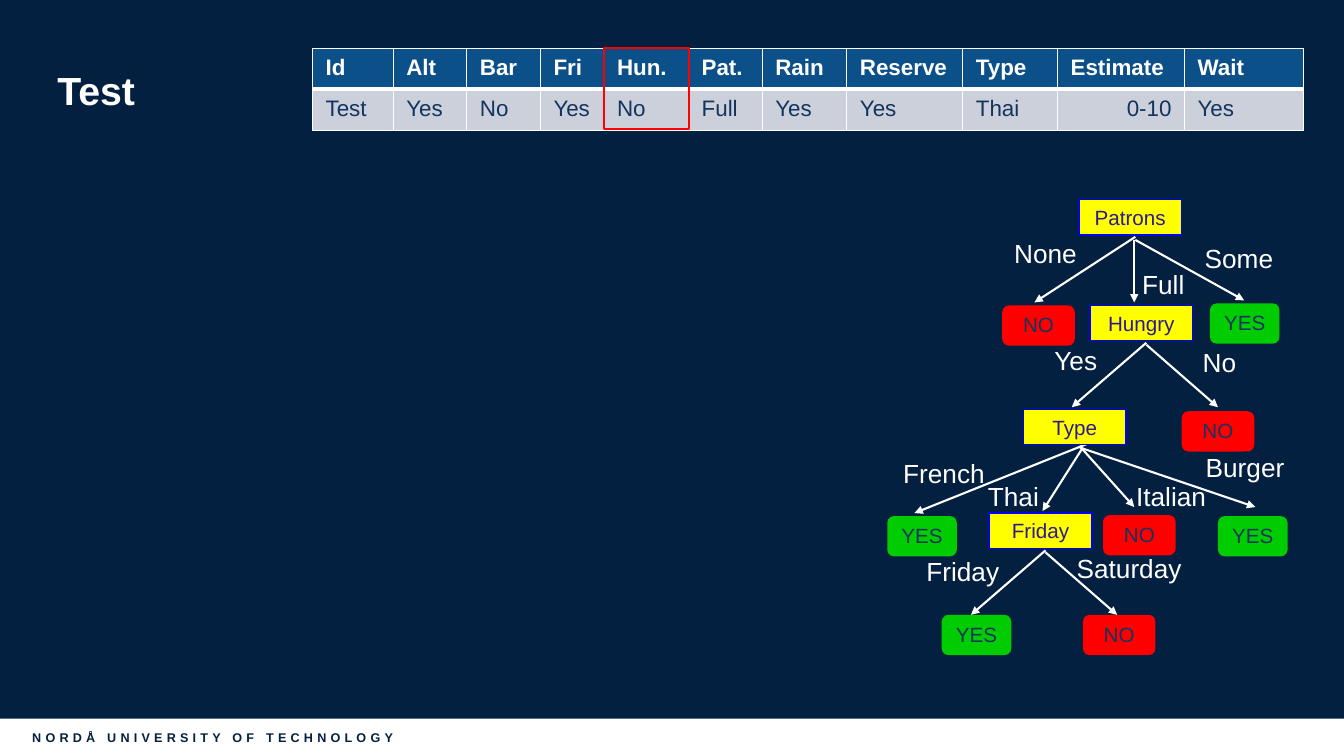
import dataclasses
import itertools

import lxml.etree
import pptx
import pptx.dml.color
import pptx.enum.shapes
import pptx.enum.text
import pptx.oxml.ns
import pptx.util

Inches = pptx.util.Inches
Pt = pptx.util.Pt
Align = pptx.enum.text.PP_ALIGN
Anchor = pptx.enum.text.MSO_ANCHOR
Shape = pptx.enum.shapes.MSO_SHAPE
qn = pptx.oxml.ns.qn


@dataclasses.dataclass(frozen=True)
class Theme:
    font: str = "Arial"
    navy: str = "032040"
    white: str = "FFFFFF"
    header: str = "0C5089"
    row: str = "CCD0DA"
    ink: str = "13345E"
    question: str = "FFFF00"
    question_edge: str = "0000FF"
    question_ink: str = "2D1993"
    yes: str = "00CC00"
    no: str = "FF0000"
    title_size: float = 28
    table_size: float = 16
    answer_size: float = 18.7
    node_size: float = 14.7
    footer_size: float = 9


theme = Theme()
rgb = pptx.dml.color.RGBColor.from_string


def write(frame, text, size, color, bold=False, align=Align.LEFT):
    paragraph = frame.paragraphs[0]
    paragraph.alignment = align
    run = paragraph.add_run()
    run.text = text
    run.font.name = theme.font
    run.font.size = Pt(size)
    run.font.bold = bold
    run.font.color.rgb = rgb(color)
    return run


def add_box(preset, left, top, width, height, fill=None, edge=None, edge_width=1):
    box = slide.shapes.add_shape(
        preset, Inches(left), Inches(top), Inches(width), Inches(height))
    box.shadow.inherit = False
    if fill:
        box.fill.solid()
        box.fill.fore_color.rgb = rgb(fill)
    else:
        box.fill.background()
    if edge:
        box.line.color.rgb = rgb(edge)
        box.line.width = Pt(edge_width)
    else:
        box.line.fill.background()
    return box


deck = pptx.Presentation()
deck.slide_width = Inches(13.33)
deck.slide_height = Inches(7.5)
slide = deck.slides.add_slide(deck.slide_layouts[6])
slide.background.fill.solid()
slide.background.fill.fore_color.rgb = rgb(theme.navy)

footer = add_box(Shape.RECTANGLE, 0, 7.13, 13.33, 0.37, theme.white)
footer.text_frame.margin_left = Inches(0.32)
footer.text_frame.vertical_anchor = Anchor.MIDDLE
university = write(footer.text_frame, "NORDÅ UNIVERSITY OF TECHNOLOGY",
                   theme.footer_size, theme.navy, bold=True)
university.font._element.set("spc", "300")

title = slide.shapes.add_textbox(Inches(0.47), Inches(0.26), Inches(12.39), Inches(1.32))
title.text_frame.word_wrap = True
title.text_frame.vertical_anchor = Anchor.MIDDLE
title.text_frame.paragraphs[0].line_spacing = 0.9
write(title.text_frame, "Test", theme.title_size, theme.white, bold=True)

branches = [
    (11.25, 2.38, 11.25, 3), (11.26, 2.35, 10.26, 3), (11.26, 2.38, 12.34, 2.98),
    (11.37, 3.4, 10.63, 4.04), (11.37, 3.42, 12.08, 4.04),
    (10.74, 4.44, 10.34, 5.07), (10.79, 4.4, 9.07, 5.09),
    (10.71, 4.44, 12.45, 5.03), (10.73, 4.45, 11.25, 5.03),
    (10.37, 5.46, 9.63, 6.1), (10.37, 5.48, 11.08, 6.1),
]
for branch in branches:
    arrow = slide.shapes.add_connector(
        pptx.enum.shapes.MSO_CONNECTOR.STRAIGHT, *map(Inches, branch))
    arrow.line.color.rgb = rgb(theme.white)
    arrow.line.width = Pt(1.5)
    lxml.etree.SubElement(arrow.line._get_or_add_ln(), qn("a:tailEnd"), type="triangle")
    lxml.etree.SubElement(arrow._element.spPr, qn("a:effectLst"))

questions = [("Patrons", 10.7, 1.98), ("Hungry", 10.81, 3.03),
             ("Type", 10.15, 4.06), ("Friday", 9.81, 5.09)]
for text, left, top in questions:
    question = add_box(Shape.RECTANGLE, left, top, 1.02, 0.35,
                       theme.question, theme.question_edge)
    question.text_frame.vertical_anchor = Anchor.MIDDLE
    write(question.text_frame, text, theme.node_size, theme.question_ink,
          align=Align.CENTER)

outcome_styles = {"YES": (0.69, theme.yes), "NO": (0.72, theme.no)}
outcomes = [
    ("YES", 12, 3.01), ("NO", 9.94, 3.03), ("NO", 11.72, 4.08),
    ("YES", 12.08, 5.12), ("NO", 10.94, 5.11), ("YES", 8.8, 5.12),
    ("NO", 10.74, 6.1), ("YES", 9.34, 6.1),
]
for text, left, top in outcomes:
    width, color = outcome_styles[text]
    outcome = add_box(Shape.ROUNDED_RECTANGLE, left, top, width, 0.4, color)
    outcome.text_frame.vertical_anchor = Anchor.TOP
    write(outcome.text_frame, text, theme.node_size, theme.ink, align=Align.CENTER)

answers = [
    ("Some", 11.85, 2.35, 0.89), ("Full", 11.23, 2.61, 0.62), ("None", 9.96, 2.31, 0.83),
    ("Yes", 10.36, 3.37, 0.63), ("No", 11.83, 3.39, 0.54),
    ("French", 8.86, 4.49, 1.02), ("Thai", 9.7, 4.72, 0.71),
    ("Italian", 11.17, 4.72, 0.9), ("Burger", 11.86, 4.43, 0.99),
    ("Friday", 9.09, 5.46, 0.93), ("Saturday", 10.58, 5.43, 1.25),
]
for text, left, top, width in answers:
    answer = slide.shapes.add_textbox(
        Inches(left), Inches(top), Inches(width), Inches(0.42))
    answer.text_frame.word_wrap = False
    write(answer.text_frame, text, theme.answer_size, theme.white)

attributes = [
    ("Id", "Test", 0.8), ("Alt", "Yes", 0.73), ("Bar", "No", 0.73), ("Fri", "Yes", 0.63),
    ("Hun.", "No", 0.84), ("Pat.", "Full", 0.73), ("Rain", "Yes", 0.84),
    ("Reserve", "Yes", 1.15), ("Type", "Thai", 0.94), ("Estimate", "0-10", 1.26),
    ("Wait", "Yes", 1.18),
]
example = slide.shapes.add_table(
    2, len(attributes), Inches(3.1), Inches(0.48), Inches(9.86), Inches(0.8)).table
example.horz_banding = False
for row in example.rows:
    row.height = Inches(0.4)
for column, (_, _, width) in zip(example.columns, attributes):
    column.width = Inches(width)

row_styles = [
    (theme.header, theme.white, True, {"L": 1, "R": 1, "T": 1, "B": 3}),
    (theme.row, theme.ink, False, {"L": 1, "R": 1, "T": 3, "B": 1}),
]
for row, column in itertools.product(range(2), range(len(attributes))):
    fill, ink, bold, borders = row_styles[row]
    text = attributes[column][row]
    cell = example.cell(row, column)
    cell.margin_left = cell.margin_right = Inches(0.13)
    cell.margin_top = cell.margin_bottom = Inches(0.07)
    properties = cell._tc.get_or_add_tcPr()
    for side, weight in borders.items():
        border = lxml.etree.SubElement(properties, qn(f"a:ln{side}"), w=str(Pt(weight)))
        paint = lxml.etree.SubElement(border, qn("a:solidFill"))
        lxml.etree.SubElement(paint, qn("a:srgbClr"), val=theme.white)
    cell.fill.solid()
    cell.fill.fore_color.rgb = rgb(fill)
    write(cell.text_frame, text, theme.table_size, ink, bold,
          Align.RIGHT if text == "0-10" else Align.LEFT)

add_box(Shape.RECTANGLE, 5.99, 0.48, 0.84, 0.8, edge=theme.no, edge_width=1.5)

deck.save("out.pptx")
